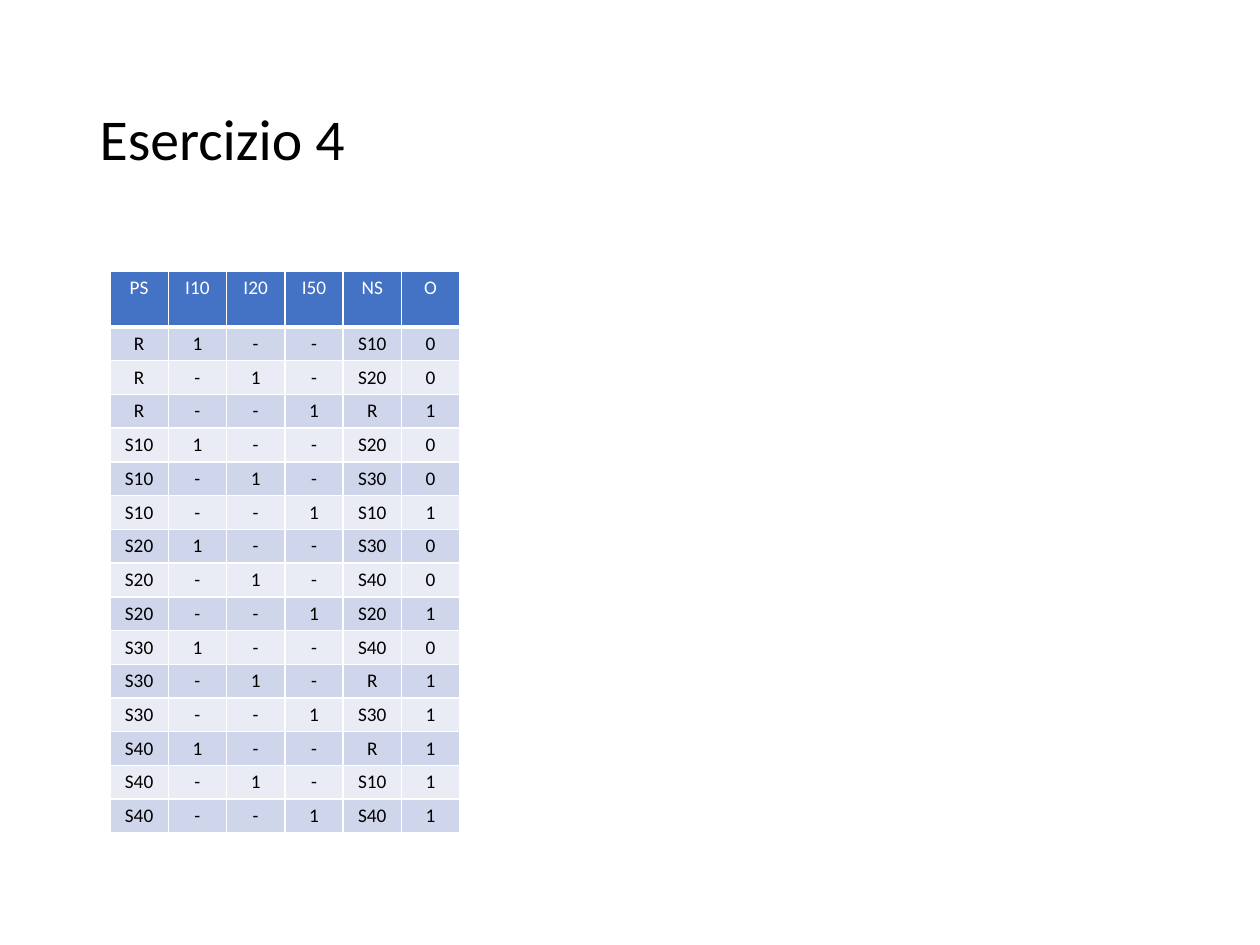
from lxml import etree
from pptx import Presentation
from pptx import util as u
from pptx.dml.color import RGBColor
from pptx.enum import text
from pptx.oxml import ns

PX = 914400 // 126
HEAD = ["PS", "I10", "I20", "I50", "NS", "O"]
COINS = 3
# present state: (next state, output) for each coin in turn
STATES = {
    "R": [("S10", 0), ("S20", 0), ("R", 1)],
    "S10": [("S20", 0), ("S30", 0), ("S10", 1)],
    "S20": [("S30", 0), ("S40", 0), ("S20", 1)],
    "S30": [("S40", 0), ("R", 1), ("S30", 1)],
    "S40": [("R", 1), ("S10", 1), ("S40", 1)],
}


def px(n):
    return u.Emu(n * PX)


def hue(code):
    return RGBColor.from_string(code)


def put(obj, vals):
    for key, val in vals.items():
        setattr(obj, key, val)


def style(para, size, code, align):
    para.alignment = align
    put(para.font, {"name": "Calibri", "size": u.Pt(size), "bold": False})
    para.font.color.rgb = hue(code)


def edge(cell, side, width, code):
    """Add one cell border; call before the fill is set."""
    line = etree.SubElement(cell._tc.get_or_add_tcPr(), ns.qn("a:ln" + side),
                            w=str(u.Pt(width)))
    fill = etree.SubElement(line, ns.qn("a:solidFill"))
    etree.SubElement(fill, ns.qn("a:srgbClr"), val=code)


def title(slide, x, y, w, h):
    shape = slide.shapes.title
    put(shape, {"left": px(x), "top": px(y), "width": px(w), "height": px(h)})
    shape.text_frame.text = "Esercizio 4"
    shape.text_frame.vertical_anchor = text.MSO_ANCHOR.MIDDLE
    para = shape.text_frame.paragraphs[0]
    para.line_spacing = 0.9
    style(para, 33, "000000", text.PP_ALIGN.LEFT)


def rows():
    """Return the header and one row for each state and coin."""
    body = [[ps, *("1" if i == coin else "-" for i in range(COINS)), ns_, str(out)]
            for ps, moves in STATES.items()
            for coin, (ns_, out) in enumerate(moves)]
    return [HEAD] + body


def table(slide, x, y, w, top, step):
    """Draw the state table with a header of height top and rows of height step."""
    data = rows()
    high = top + step * (len(data) - 1)
    grid = slide.shapes.add_table(len(data), len(HEAD), px(x), px(y),
                                  px(w), px(high)).table
    for col in grid.columns:
        col.width = px(w) // len(HEAD)
    pad = dict.fromkeys(["margin_left", "margin_right",
                         "margin_top", "margin_bottom"], px(5))
    for r, line in enumerate(data):
        first = r == 0
        grid.rows[r].height = px(top if first else step)
        back = "4472C4" if first else ("E9EBF5", "CFD5EA")[r % 2]
        for c, word in enumerate(line):
            cell = grid.cell(r, c)
            cell.text = word
            put(cell, pad)
            for side in "LRTB":
                edge(cell, side, 3 if first and side == "B" else 1, "FFFFFF")
            cell.fill.solid()
            cell.fill.fore_color.rgb = hue(back)
            style(cell.text_frame.paragraphs[0], 11,
                  "FFFFFF" if first else "000000", text.PP_ALIGN.CENTER)


def main():
    deck = Presentation()
    put(deck, {"slide_width": px(1260), "slide_height": px(945)})
    slide = deck.slides.add_slide(deck.slide_layouts[5])
    title(slide, 87, 50, 1086, 183)
    table(slide, 110, 271, 350, 56, 31)
    deck.save("out.pptx")


if __name__ == "__main__":
    main()
